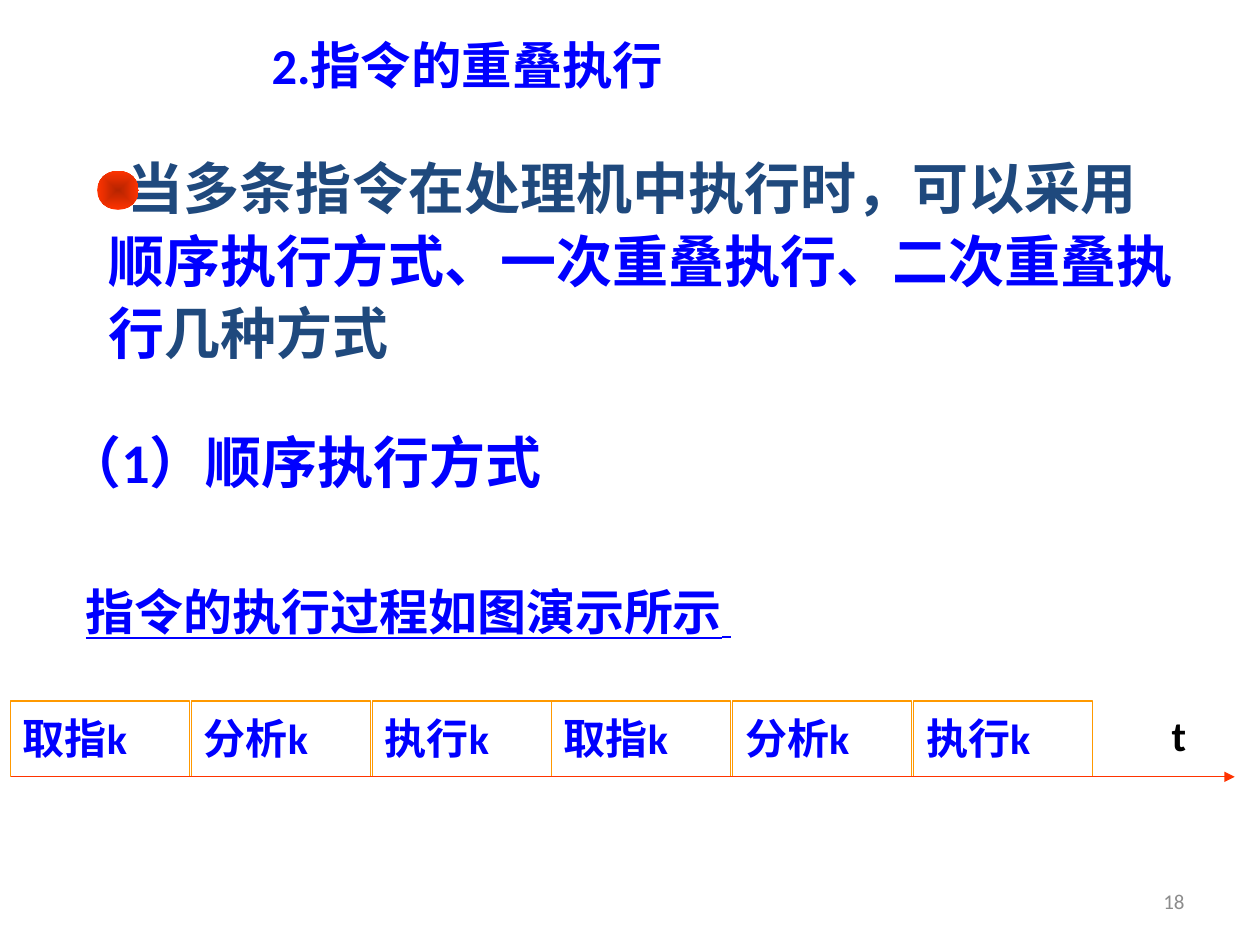
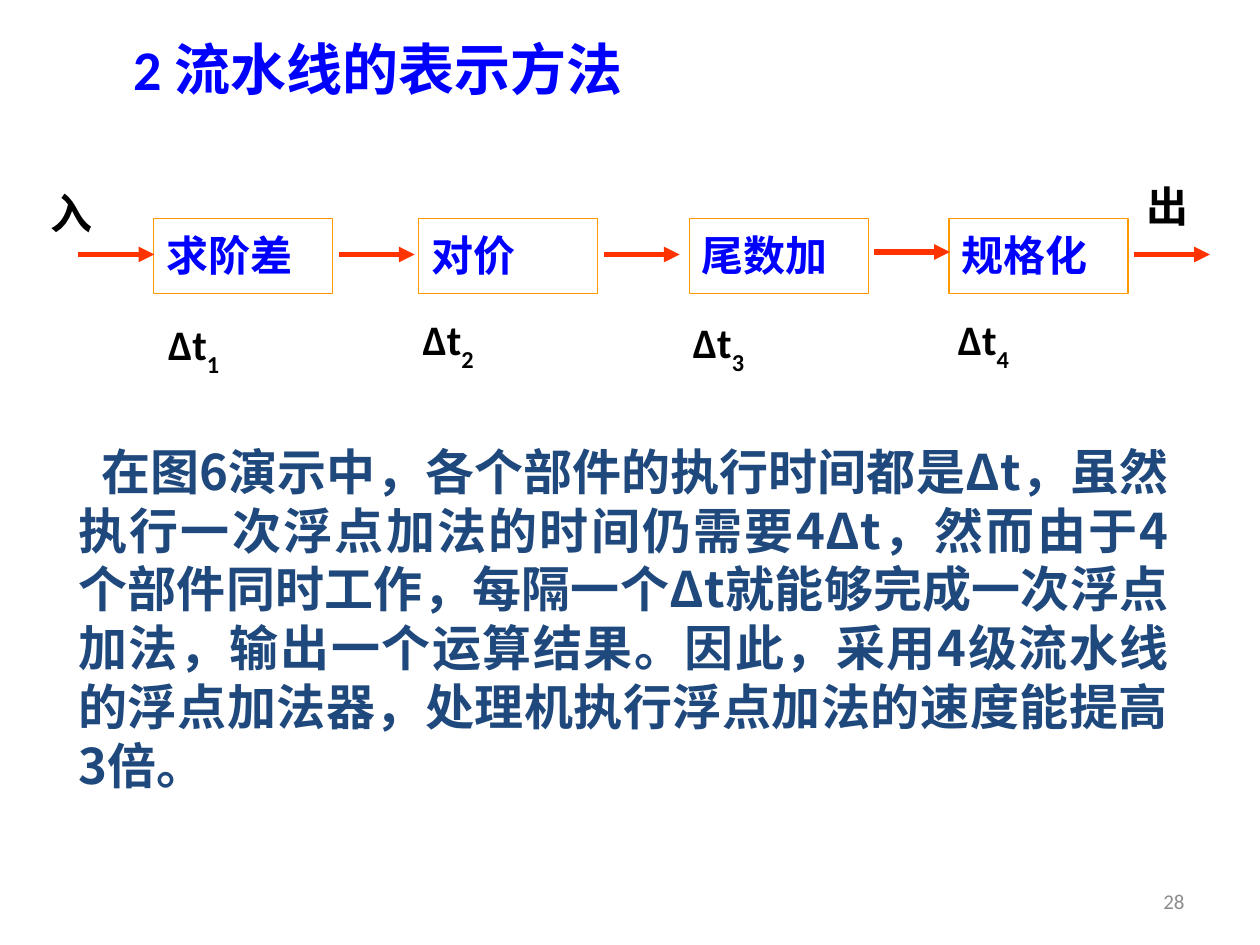
from dataclasses import dataclass

from lxml.etree import SubElement
from pptx import Presentation
from pptx.dml.color import RGBColor
from pptx.enum.shapes import MSO_CONNECTOR as Link, MSO_SHAPE as Form
from pptx.enum.text import MSO_ANCHOR as Anchor, PP_ALIGN as Align
from pptx.oxml import parse_xml
from pptx.oxml.ns import nsdecls, qn
from pptx.util import Cm, Pt

BLUE = RGBColor(0x00, 0x00, 0xFF)
NAVY = RGBColor(0x1F, 0x49, 0x7D)
BLACK = RGBColor(0x00, 0x00, 0x00)
GRAY = RGBColor(0x8C, 0x8C, 0x8C)
AMBER = RGBColor(0xFF, 0x99, 0x00)
RED = RGBColor(0xFF, 0x33, 0x00)
EMBER = RGBColor(0xB6, 0x24, 0x00)
LATIN = "Calibri"
HAN = "Noto Sans CJK SC"
WIDE, HIGH = 3.61, 1.52


@dataclass
class Run:
    text: str
    color: RGBColor | None = None
    size: float | None = None
    base: int = 0


@dataclass
class Style:
    size: float
    color: RGBColor = BLUE
    bold: bool = True
    under: bool = False
    latin: str = LATIN
    han: bool = False
    align: Align = Align.LEFT
    anchor: Anchor = Anchor.TOP
    space: float | Pt | None = None
    indent: float = 0
    side: float = 0.25


@dataclass
class Block:
    left: float
    top: float
    wide: float
    high: float
    runs: list[Run]
    style: Style


@dataclass
class Arrow:
    start: float
    end: float
    top: float
    width: float
    head: bool = True


STEP = Style(24, space=1.1)
LABEL = Style(24, BLACK, side=0)
PAGE = Style(12, GRAY, False, align=Align.RIGHT, anchor=Anchor.MIDDLE)


def title(size: float) -> Style:
    return Style(size, han=True, align=Align.CENTER, anchor=Anchor.MIDDLE)


def body(size: float, align: Align, pitch: float, indent: float) -> Style:
    return Style(size, NAVY, latin=HAN, han=True, align=align,
                 space=Pt(pitch), indent=indent)


def write(shape, runs: list[Run], style: Style) -> None:
    frame = shape.text_frame
    frame.word_wrap = True
    frame.vertical_anchor = style.anchor
    frame.margin_left = frame.margin_right = Cm(style.side)
    frame.margin_top = frame.margin_bottom = Cm(0.13)
    para = frame.paragraphs[0]
    para.alignment = style.align
    if style.space:
        para.line_spacing = style.space
    if style.indent:
        para._p.get_or_add_pPr().set("indent", str(Cm(style.indent)))
    font = para.font
    font.name, font.size, font.bold = style.latin, Pt(style.size), style.bold
    font.color.rgb = style.color
    if style.under:
        font.underline = True
    if style.han:
        SubElement(font._element, qn("a:ea"), typeface=HAN)
    for item in runs:
        run = para.add_run()
        run.text = item.text
        if item.color is not None:
            run.font.color.rgb = item.color
        if item.size:
            run.font.size = Pt(item.size)
        if item.base:
            run.font._element.set("baseline", str(item.base))


def add_text(slide, block: Block) -> None:
    shape = slide.shapes.add_textbox(
        Cm(block.left), Cm(block.top), Cm(block.wide), Cm(block.high))
    write(shape, block.runs, block.style)


def add_step(slide, left: float, top: float, name: str) -> None:
    shape = slide.shapes.add_shape(
        Form.RECTANGLE, Cm(left), Cm(top), Cm(WIDE), Cm(HIGH))
    shape.shadow.inherit = False
    shape.fill.background()
    shape.line.color.rgb = AMBER
    shape.line.width = Pt(0.75)
    write(shape, [Run(name)], STEP)


def add_arrow(slide, arrow: Arrow) -> None:
    line = slide.shapes.add_connector(
        Link.STRAIGHT, Cm(arrow.start), Cm(arrow.top),
        Cm(arrow.end), Cm(arrow.top))
    line.line.color.rgb = RED
    line.line.width = Pt(arrow.width)
    if arrow.head:
        SubElement(line.line._get_or_add_ln(), qn("a:tailEnd"), type="triangle")
    SubElement(line._element.spPr, qn("a:effectLst"))


def add_ball(slide) -> None:
    ball = slide.shapes.add_shape(
        Form.OVAL, Cm(1.96), Cm(3.44), Cm(0.84), Cm(0.79))
    ball.shadow.inherit = False
    ball.line.fill.background()
    glow = parse_xml(
        f'<a:gradFill {nsdecls("a")} rotWithShape="1"><a:gsLst>'
        f'<a:gs pos="0"><a:srgbClr val="{EMBER}"/></a:gs>'
        f'<a:gs pos="100000"><a:srgbClr val="{RED}"/></a:gs></a:gsLst>'
        '<a:path path="shape"><a:fillToRect l="50000" t="50000" '
        'r="50000" b="50000"/></a:path></a:gradFill>')
    ball._element.spPr.find(qn("a:prstGeom")).addnext(glow)


def new_slide(deck, page: str, head: Block):
    slide = deck.slides.add_slide(deck.slide_layouts[6])
    add_text(slide, Block(18.21, 17.65, 5.92, 1.02, [Run(page)], PAGE))
    add_text(slide, head)
    return slide


def overlap(deck) -> None:
    slide = new_slide(deck, "18", Block(
        0.89, 0.79, 17.07, 1.02, [Run("2.指令的重叠执行")], title(28.8)))
    add_text(slide, Block(1.93, 2.84, 22.17, 5.51, [
        Run("当多条指令在处理机中执行时，可以采用"),
        Run("顺序执行方式、一次重叠执行、二次重叠执行", BLUE),
        Run("几种方式"),
    ], body(32, Align.LEFT, 41.7, 0.4)))
    add_text(slide, Block(1.48, 11.48, 15.88, 1.8, [
        Run("指令的执行过程如图演示所示"), Run(" ", size=24),
    ], Style(28, under=True, align=Align.JUSTIFY, space=1.1)))
    add_ball(slide)
    for left in (0.21, 11.12):
        for i, name in enumerate(("取指k", "分析k", "执行k")):
            add_step(slide, left + i * 3.65, 14.13, name)
    add_arrow(slide, Arrow(11.13, 24.89, 15.66, 0.75))
    add_arrow(slide, Arrow(0.23, 14, 15.66, 0.75, False))
    add_text(slide, Block(23.62, 14.17, 1.32, 1.27, [Run("t")], LABEL))
    add_text(slide, Block(1.07, 8.36, 21.64, 2.44,
                          [Run("（1）顺序执行方式")], Style(32, space=1.1)))


def pipeline(deck) -> None:
    slide = new_slide(deck, "28", Block(
        0.76, 0.53, 13.72, 1.7, [Run("2 流水线的表示方法")], title(32)))
    add_text(slide, Block(1.33, 8.77, 22.48, 7.62, [Run(
        "在图6演示中，各个部件的执行时间都是Δt，虽然执行一次浮点加法的时间仍需要4Δt，"
        "然而由于4个部件同时工作，每隔一个Δt就能够完成一次浮点加法，输出一个运算结果。"
        "因此，采用4级流水线的浮点加法器，处理机执行浮点加法的速度能提高3倍。",
    )], body(28, Align.JUSTIFY, 33.6, 0.46)))
    stages = (
        ("求阶差", 3.1, 3.39, 6.3),
        ("对价", 8.44, 8.52, 6.2),
        ("尾数加", 13.9, 13.97, 6.25),
        ("规格化", 19.13, 19.31, 6.2),
    )
    for i, (name, left, mark, top) in enumerate(stages, 1):
        add_step(slide, left, 4.4, name)
        add_text(slide, Block(mark, top, 3.71, 1.27,
                              [Run("∆t"), Run(str(i), base=-30000)], LABEL))
    for start, top in ((1.58, 5.13), (6.83, 5.13), (12.17, 5.13),
                       (17.62, 5.08), (22.86, 5.13)):
        add_arrow(slide, Arrow(start, start + 1.53, top, 3))
    for text, left, top in (("入", 1.01, 3.65), ("出", 23.12, 3.5)):
        add_text(slide, Block(left, top, 1.27, 1.27, [Run(text)], LABEL))


def main() -> None:
    deck = Presentation()
    deck.slide_width, deck.slide_height = Cm(25.4), Cm(19.05)
    overlap(deck)
    pipeline(deck)
    deck.save("out.pptx")


if __name__ == "__main__":
    main()
